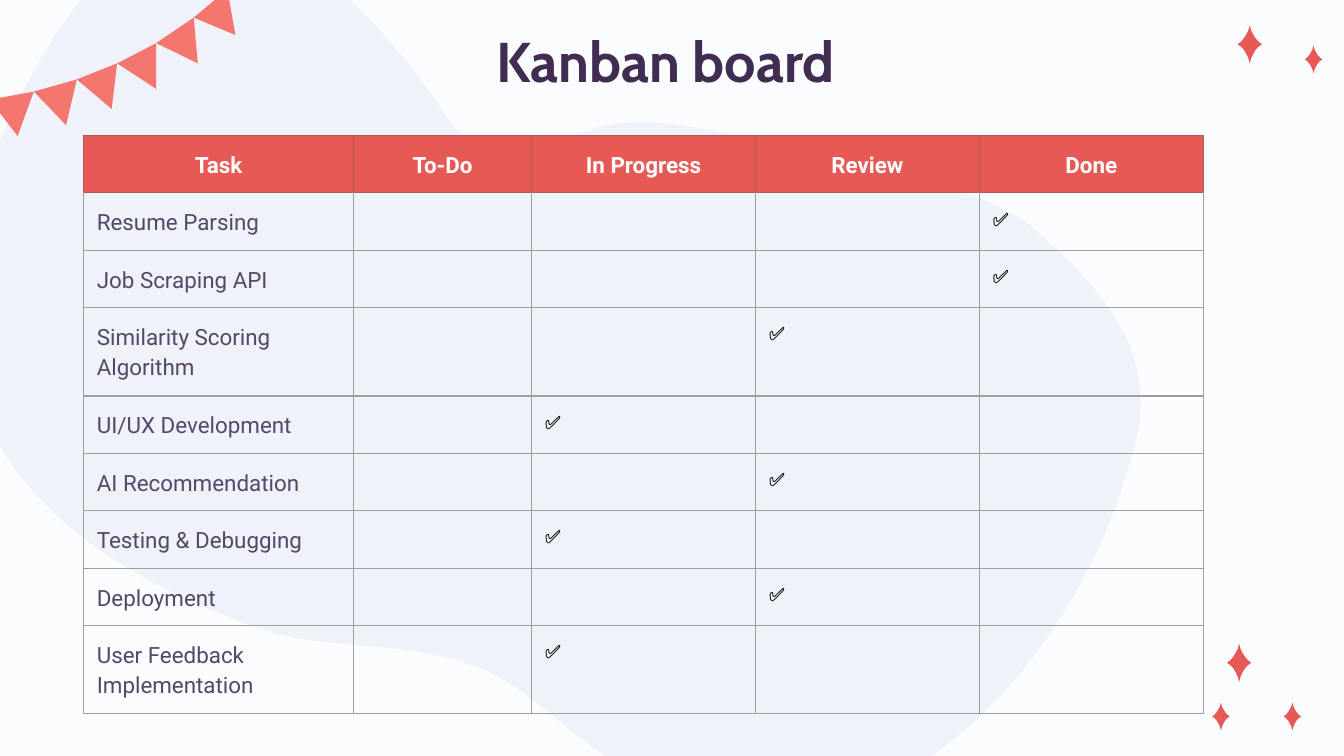
import math

import pptx
import pptx.dml.color
import pptx.enum.text
import pptx.oxml.ns
import pptx.util
from lxml import etree

Cm = pptx.util.Cm
Pt = pptx.util.Pt
qn = pptx.oxml.ns.qn
ALIGN = pptx.enum.text.PP_ALIGN

COLORS = {
    "back": "FBFCFE", "blob": "A4BDDA", "star": "E65955", "flag": "F3766F",
    "title": "402D51", "head": "E65955", "edge": "AF5858", "grid": "9E9E9E",
    "white": "FFFFFF", "task": "544768", "check": "000000",
}
FONTS = {
    "title": {"name": "Cabin", "size": Pt(30), "bold": True},
    "head": {"name": "Roboto", "size": Pt(12), "bold": True},
    "task": {"name": "Roboto", "size": Pt(12), "bold": False},
    "check": {"name": "Arial", "size": Pt(10), "bold": False},
}
INSETS = {f"margin_{side}": Cm(0.25) for side in ("left", "top", "right", "bottom")}

HEADS = ["Task", "To-Do", "In Progress", "Review", "Done"]
TASKS = [
    ("Resume Parsing", "Done"),
    ("Job Scraping API", "Done"),
    ("Similarity Scoring Algorithm", "Review"),
    ("UI/UX Development", "In Progress"),
    ("AI Recommendation", "Review"),
    ("Testing & Debugging", "In Progress"),
    ("Deployment", "Review"),
    ("User Feedback Implementation", "In Progress"),
]
WIDTHS = [5.1, 3.37, 4.23, 4.23, 4.23]

# A path is a list of parts: one point is a corner, three are a cubic curve.
BLOB = [
    [(830, 248)],
    [(794, 234), (754, 232), (714, 220)], [(559, 169), (540, 198), (501, 212)],
    [(487, 217), (473, 216), (461, 212)], [(450, 207), (441, 199), (434, 189)],
    [(400, 138), (350, 79), (303, 61)], [(302, 61), (302, 61), (302, 61)],
    [(210, 27), (161, 82), (114, 174)], [(9, 382), (115, 499), (270, 559)],
    [(279, 563), (289, 566), (299, 570)], [(347, 583), (396, 578), (443, 592)],
    [(447, 594), (451, 595), (455, 596)], [(494, 612), (521, 645), (556, 666)],
    [(568, 673), (581, 679), (595, 685)], [(648, 705), (709, 708), (763, 681)],
    [(847, 637), (913, 543), (940, 446)], [(970, 362), (916, 312), (867, 268)],
    [(855, 260), (843, 253), (830, 248)],
]
STAR = [
    [(50, 0)], [(44, 14)],
    [(33, 28), (22, 41), (0, 50)], [(22, 57), (33, 70), (44, 86)],
    [(50, 100)], [(56, 86)],
    [(67, 70), (78, 57), (100, 50)], [(78, 41), (67, 28), (56, 14)],
    [(50, 0)],
]
ROPE = [(0, 82), (33, 76), (65, 67), (95, 55), (124, 40), (152, 21), (177, 0)]
TIPS = [(21, 109), (57, 101), (91, 89), (124, 74), (155, 55), (183, 34)]

BIG, SMALL = (0.46, 0.72), (0.33, 0.53)
STARS = [
    (24.66, 0.86, SMALL), (24.26, 13.28, SMALL), (23.19, 12.17, BIG),
    (22.91, 13.28, SMALL), (23.39, 0.48, BIG),
]


def color(key):
    return pptx.dml.color.RGBColor.from_string(COLORS[key])


def apply(thing, values):
    for name, value in values.items():
        setattr(thing, name, value)


def turn(point, angle):
    cos, sin = math.cos(math.radians(angle)), math.sin(math.radians(angle))
    x, y = point
    return x * cos - y * sin, x * sin + y * cos


def unturn(path, angle):
    """Turn a path back so that a shape rotated by the angle shows it as given."""
    back = [[turn(point, -angle) for point in part] for part in path]
    mid = [(min(axis) + max(axis)) / 2 for axis in zip(*(part[-1] for part in back))]
    dx, dy = (new - old for new, old in zip(turn(mid, angle), mid))
    return [[(x + dx, y + dy) for x, y in part] for part in back]


def draw(shapes, box, grid, path, key):
    """Fill a path whose points lie on a grid stretched over the box."""
    left, top, width, height = box
    parts = [[(round(left + x * width / grid[0]), round(top + y * height / grid[1]))
              for x, y in part] for part in path]
    ends = [part[-1] for part in parts]
    pen = shapes.build_freeform(*ends[0])
    pen.add_line_segments(ends[1:], close=True)
    shape = pen.convert_to_shape()
    lines = list(shape.element.iter(qn("a:lnTo")))
    for line, part in zip(lines, parts[1:]):
        if len(part) == 3:
            curve = etree.Element(qn("a:cubicBezTo"))
            for x, y in part:
                etree.SubElement(curve, qn("a:pt"),
                                 x=str(x - shape.left), y=str(y - shape.top))
            line.getparent().replace(line, curve)
    shape.shadow.inherit = False
    shape.fill.solid()
    shape.fill.fore_color.rgb = color(key)
    shape.line.fill.background()
    return shape


def add_blob(slide, box):
    angle = 21.3
    shape = draw(slide.shapes, box, (1000, 750), unturn(BLOB, angle), "blob")
    shape.rotation = angle
    tint = shape.fill._xPr.find(".//" + qn("a:srgbClr"))
    etree.SubElement(tint, qn("a:alpha"), val="13000")


def add_star(slide, box):
    draw(slide.shapes, box, (100, 100), STAR, "star")


def add_flags(slide, box):
    group = slide.shapes.add_group_shape()
    for start, end, tip in zip(ROPE, ROPE[1:], TIPS):
        draw(group.shapes, box, (183, 109), [[end], [start], [tip]], "flag")


def write(frame, text, style, key, align):
    par = frame.paragraphs[0]
    par.alignment = align
    run = par.add_run()
    run.text = text
    apply(run.font, FONTS[style])
    run.font.color.rgb = color(key)
    return par


def add_title(slide, box):
    frame = slide.shapes.add_textbox(*box).text_frame
    apply(frame, {**INSETS, "word_wrap": True,
                  "vertical_anchor": pptx.enum.text.MSO_ANCHOR.BOTTOM})
    write(frame, "Kanban board ", "title", "title", ALIGN.CENTER)


def add_edges(cell, keys):
    """Set the left, right, top and bottom borders, in that order."""
    props = cell._tc.get_or_add_tcPr()
    for place, (side, key) in enumerate(zip("LRTB", keys)):
        line = etree.Element(qn("a:ln" + side), w=str(Pt(0.75)))
        fill = etree.SubElement(line, qn("a:solidFill"))
        etree.SubElement(fill, qn("a:srgbClr"), val=COLORS[key])
        props.insert(place, line)


def fill_cell(cell, text, style, key, align):
    apply(cell, INSETS)
    if text:
        write(cell.text_frame, text, style, key, align).line_spacing = 1.15
    else:
        par = cell.text_frame.paragraphs[0]
        etree.SubElement(par._p, qn("a:endParaRPr"), sz="1000")


def add_board(slide, box):
    frame = slide.shapes.add_table(len(TASKS) + 1, len(HEADS), *box)
    table = frame.table
    apply(table, {"first_row": False, "horz_banding": False})
    for column, width in zip(table.columns, WIDTHS):
        column.width = Cm(width)
    for row in table.rows:
        row.height = Cm(1.06)
    frame.height = box[3]
    for col, head in enumerate(HEADS):
        cell = table.cell(0, col)
        fill_cell(cell, head, "head", "white", ALIGN.CENTER)
        cell.fill.solid()
        cell.fill.fore_color.rgb = color("head")
        add_edges(cell, ["edge"] * 4)
        for row, (task, state) in enumerate(TASKS, 1):
            cell = table.cell(row, col)
            style = "check" if col else "task"
            text = ("✅" if head == state else "") if col else task
            fill_cell(cell, text, style, style, ALIGN.LEFT)
            cell.fill.background()
            add_edges(cell, ["grid", "grid", "edge" if row == 1 else "grid", "grid"])


def main():
    deck = pptx.Presentation()
    deck.slide_width, deck.slide_height = Cm(25.4), Cm(14.29)
    slide = deck.slides.add_slide(deck.slide_layouts[6])
    slide.background.fill.solid()
    slide.background.fill.fore_color.rgb = color("back")
    add_blob(slide, (Cm(-2.54), Cm(-2.54), Cm(25.4), Cm(19.05)))
    for left, top, size in STARS:
        add_star(slide, (Cm(left), Cm(top), Cm(size[0]), Cm(size[1])))
    add_flags(slide, (Cm(-0.2), Cm(-0.2), Cm(4.65), Cm(2.77)))
    add_title(slide, (Cm(2.02), Cm(0.67), Cm(21.36), Cm(1.35)))
    add_board(slide, (Cm(1.58), Cm(2.56), Cm(sum(WIDTHS)), Cm(10.67)))
    deck.save("out.pptx")


if __name__ == "__main__":
    main()
